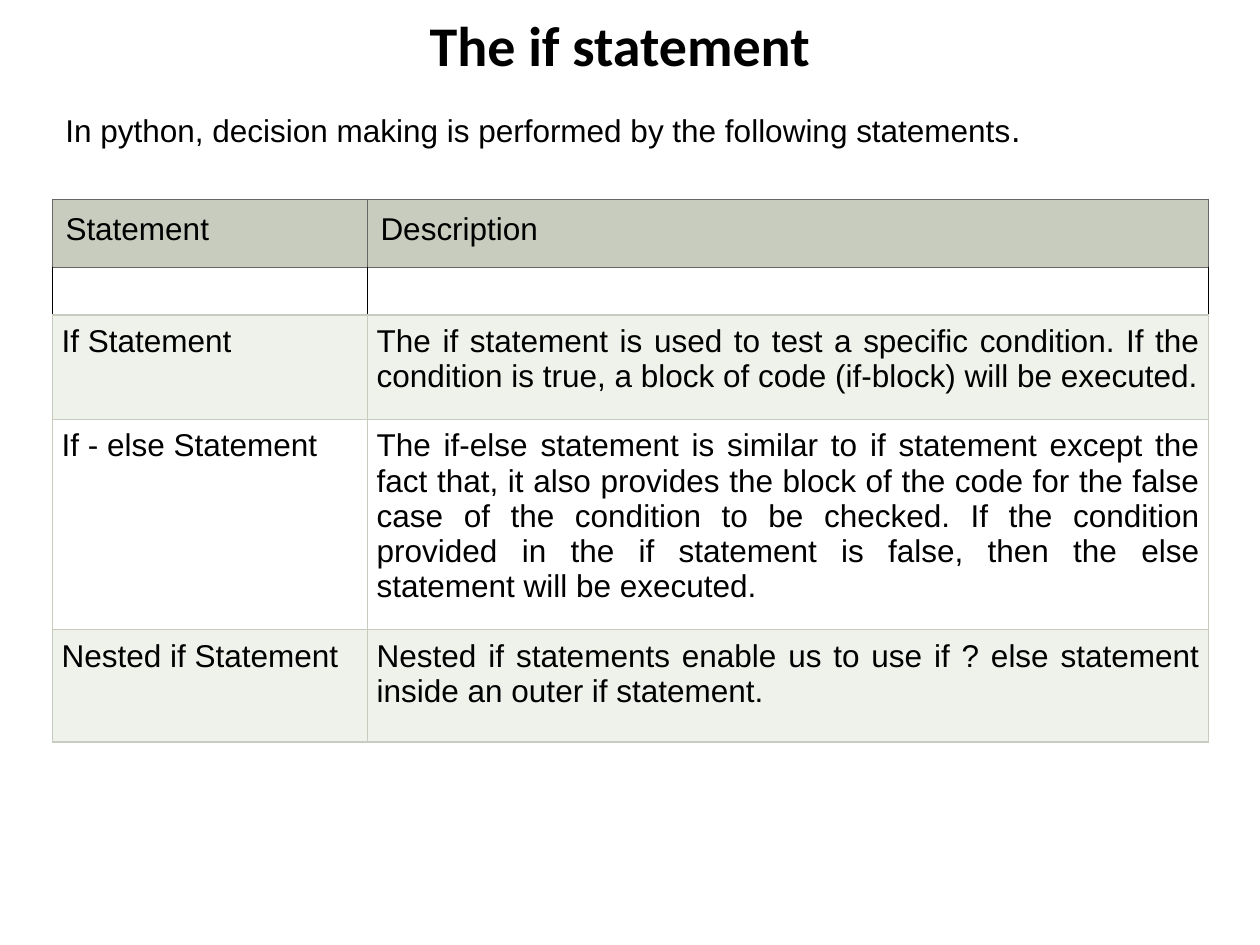
from lxml import etree
from pptx import Presentation, util as u
from pptx.dml.color import RGBColor
from pptx.enum import text as t
from pptx.oxml.ns import qn

SAGE, PALE, WHITE, BLACK = "C7CCBE", "EFF1EB", "FFFFFF", "000000"
GREEN, GREY = "289265", "666666"


def color(value):
    return RGBColor.from_string(value)


def write(paragraph, content, font="Arial", size=18, bold=False, align=None):
    """Add one formatted run to the paragraph."""
    if align is not None:
        paragraph.alignment = align
    run = paragraph.add_run()
    run.text = content
    run.font.name, run.font.size, run.font.bold = font, u.Pt(size), bold
    run.font.color.rgb = color(BLACK)


def set_borders(cell, left, right, top, bottom):
    properties = cell._tc.get_or_add_tcPr()
    for side, value in zip("LRTB", (left, right, top, bottom)):
        line = etree.SubElement(properties, qn(f"a:ln{side}"), w=str(u.Pt(0.75)))
        fill = etree.SubElement(line, qn("a:solidFill"))
        etree.SubElement(fill, qn("a:srgbClr"), val=value)


class SlideBuilder:
    def __init__(self, presentation):
        self.slide = presentation.slides.add_slide(presentation.slide_layouts[6])

    def text_box(self, left, top, width, height, anchor=t.MSO_ANCHOR.TOP):
        """Add a wrapping text box and return its first paragraph."""
        box = self.slide.shapes.add_textbox(*map(u.Inches, (left, top, width, height)))
        frame = box.text_frame
        frame.word_wrap, frame.vertical_anchor = True, anchor
        return frame.paragraphs[0]

    def table(self, left, top, widths, rows):
        """Each row is (height, margin, fill, border colours, cell texts)."""
        size = sum(widths), sum(row[0] for row in rows)
        shape = self.slide.shapes.add_table(
            len(rows), len(widths), *map(u.Inches, (left, top, *size)))
        table = shape.table
        table.first_row = table.horz_banding = False
        for column, width in zip(table.columns, widths):
            column.width = u.Inches(width)
        for row, (height, margin, fill, borders, texts) in zip(table.rows, rows):
            row.height = u.Inches(height)
            for cell, content in zip(row.cells, texts):
                self.cell(cell, content, margin, fill, borders)
            # The outer left edge of a row may differ from its inner lines.

    def cell(self, cell, content, margin, fill, borders):
        cell.margin_left = cell.margin_right = u.Inches(margin)
        cell.margin_top = cell.margin_bottom = u.Inches(margin)
        set_borders(cell, *borders)
        cell.fill.solid()
        cell.fill.fore_color.rgb = color(fill)
        paragraph = cell.text_frame.paragraphs[0]
        if content:
            write(paragraph, content, align=t.PP_ALIGN.JUSTIFY)
        else:
            paragraph.font.size = u.Pt(18)


def main():
    presentation = Presentation()
    presentation.slide_width, presentation.slide_height = u.Inches(10), u.Inches(7.5)
    builder = SlideBuilder(presentation)

    title = builder.text_box(0.42, 0, 9, 0.7, anchor=t.MSO_ANCHOR.MIDDLE)
    write(title, "The if statement", font="Calibri", size=32, bold=True,
          align=t.PP_ALIGN.CENTER)

    intro = builder.text_box(0.42, 0.83, 9.17, 0.4)
    write(intro, "In python, decision making is performed by the following statements")
    write(intro, ".", font="DejaVu Sans")

    header_lines = (GREY,) * 4
    spacer_lines = (BLACK, BLACK, GREY, SAGE)
    body_lines = (SAGE,) * 4
    builder.table(0.42, 1.58, (2.5, 6.67), [
        (0.54, 0.1, SAGE, header_lines, ("Statement", "Description")),
        (0.38, 0, WHITE, spacer_lines, ("", "")),
        (0.83, 0.07, PALE, body_lines, (
            "If Statement",
            "The if statement is used to test a specific condition. If the condition "
            "is true, a block of code (if-block) will be executed.")),
        (1.67, 0.07, WHITE, body_lines, (
            "If - else Statement",
            "The if-else statement is similar to if statement except the fact that, "
            "it also provides the block of the code for the false case of the "
            "condition to be checked. If the condition provided in the if statement "
            "is false, then the else statement will be executed.")),
        (0.89, 0.07, PALE, body_lines, (
            "Nested if Statement",
            "Nested if statements enable us to use if ? else statement inside an "
            "outer if statement.")),
    ])
    presentation.save("out.pptx")


if __name__ == "__main__":
    main()
